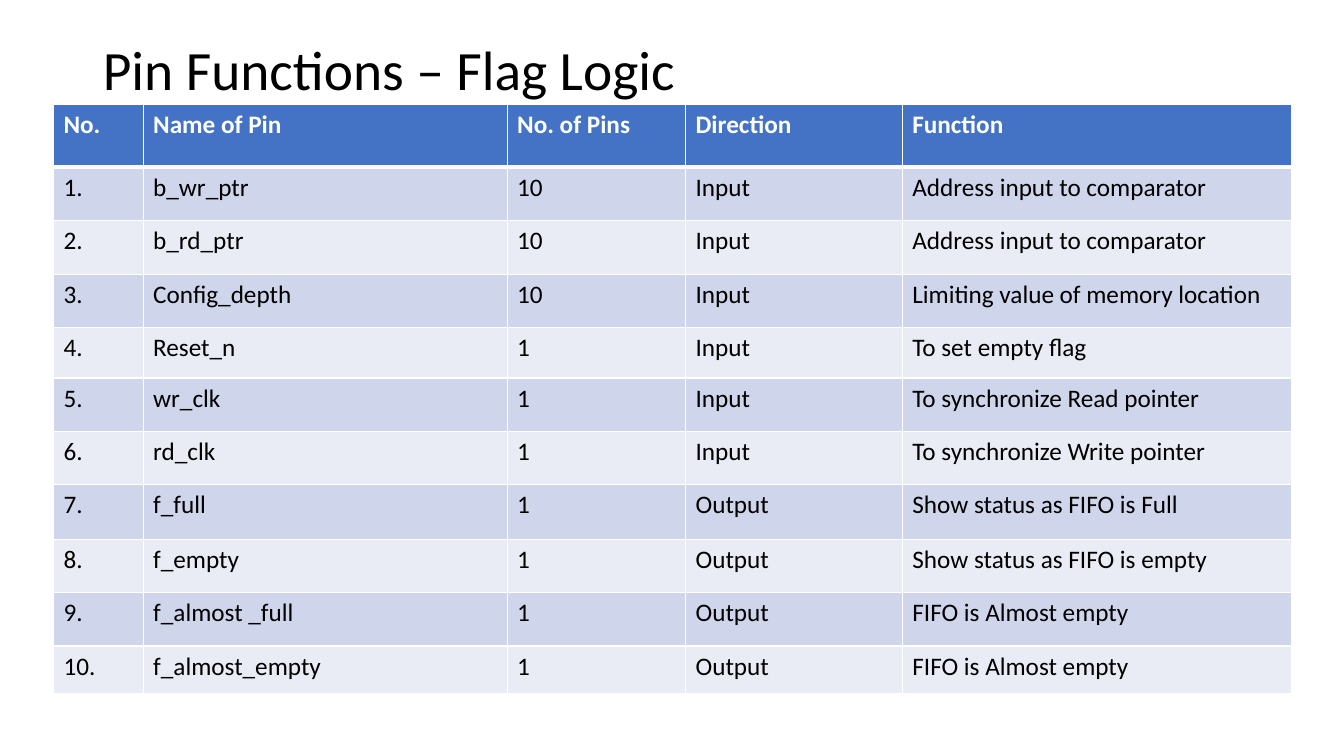
"""Build the flag logic pin functions slide."""
from dataclasses import astuple, dataclass

from lxml.etree import SubElement
from pptx import Presentation
from pptx.dml.color import RGBColor
from pptx.enum.text import MSO_ANCHOR, MSO_AUTO_SIZE, PP_ALIGN
from pptx.oxml.ns import qn
from pptx.slide import Slide
from pptx.table import _Cell
from pptx.text.text import _Paragraph
from pptx.util import Inches, Pt

BLACK = RGBColor(0x00, 0x00, 0x00)
WHITE = RGBColor(0xFF, 0xFF, 0xFF)
HEADER_BLUE = RGBColor(0x44, 0x72, 0xC4)
BANDS = (RGBColor(0xCF, 0xD5, 0xEA), RGBColor(0xE9, 0xEB, 0xF5))

TITLE_FORMAT = {"name": "Calibri", "size": Pt(39.6), "bold": False}
TITLE_FORMAT["color"] = BLACK
BODY_FORMAT = TITLE_FORMAT | {"size": Pt(18)}
HEADER_FORMAT = BODY_FORMAT | {"bold": True, "color": WHITE}

HEADERS = ("No.", "Name of Pin", "No. of Pins", "Direction", "Function")
COLUMN_WIDTHS = (0.89, 3.61, 1.77, 2.15, 3.86)
ROW_HEIGHTS = (0.62, 0.53, 0.53, 0.53, 0.5, 0.53, 0.53, 0.54, 0.53, 0.53, 0.47)


@dataclass(frozen=True)
class Pin:
    name: str
    count: int
    direction: str
    function: str


PINS = (
    Pin("b_wr_ptr", 10, "Input", "Address input to comparator"),
    Pin("b_rd_ptr", 10, "Input", "Address input to comparator"),
    Pin("Config_depth", 10, "Input", "Limiting value of memory location"),
    Pin("Reset_n", 1, "Input", "To set empty flag"),
    Pin("wr_clk", 1, "Input", "To synchronize Read pointer"),
    Pin("rd_clk", 1, "Input", "To synchronize Write pointer"),
    Pin("f_full", 1, "Output", "Show status as FIFO is Full"),
    Pin("f_empty", 1, "Output", "Show status as FIFO is empty"),
    Pin("f_almost _full", 1, "Output", "FIFO is Almost empty"),
    Pin("f_almost_empty", 1, "Output", "FIFO is Almost empty"),
)


def write_text(paragraph: _Paragraph, text: str, formats: dict) -> None:
    run = paragraph.add_run()
    run.text = text
    for attribute, value in formats.items():
        if attribute == "color":
            run.font.color.rgb = value
        else:
            setattr(run.font, attribute, value)


def add_borders(cell: _Cell, widths: dict[str, int]) -> None:
    properties = cell._tc.get_or_add_tcPr()
    for side, width in widths.items():
        line = SubElement(properties, qn(f"a:ln{side}"), w=str(Pt(width)))
        fill = SubElement(line, qn("a:solidFill"))
        SubElement(fill, qn("a:srgbClr"), val=str(WHITE))


def add_title(slide: Slide) -> None:
    title = slide.shapes.title
    title.left, title.top = Inches(0.92), Inches(0.4)
    title.width, title.height = Inches(11.5), Inches(0.64)
    frame = title.text_frame
    settings = {"word_wrap": True, "auto_size": MSO_AUTO_SIZE.NONE,
                "vertical_anchor": MSO_ANCHOR.MIDDLE}
    for attribute, value in settings.items():
        setattr(frame, attribute, value)
    paragraph = frame.paragraphs[0]
    paragraph.alignment = PP_ALIGN.LEFT
    paragraph.line_spacing = 0.9
    write_text(paragraph, "Pin Functions – Flag Logic", TITLE_FORMAT)


def add_pin_table(slide: Slide) -> None:
    rows = [HEADERS]
    rows += [(f"{number}.", *astuple(pin)) for number, pin in enumerate(PINS, 1)]
    table = slide.shapes.add_table(
        len(rows), len(HEADERS), Inches(0.53), Inches(1.04),
        Inches(sum(COLUMN_WIDTHS)), Inches(sum(ROW_HEIGHTS))).table
    for column, width in zip(table.columns, COLUMN_WIDTHS):
        column.width = Inches(width)
    for row, height in zip(table.rows, ROW_HEIGHTS):
        row.height = Inches(height)
    for row_index, values in enumerate(rows):
        is_header = row_index == 0
        borders = {"L": 1, "R": 1, "T": 3 if row_index == 1 else 1,
                   "B": 3 if is_header else 1}
        for column_index, value in enumerate(values):
            cell = table.cell(row_index, column_index)
            add_borders(cell, borders)
            cell.fill.solid()
            cell.fill.fore_color.rgb = (
                HEADER_BLUE if is_header else BANDS[(row_index - 1) % 2])
            write_text(cell.text_frame.paragraphs[0], str(value),
                       HEADER_FORMAT if is_header else BODY_FORMAT)


def main() -> None:
    presentation = Presentation()
    presentation.slide_width = Inches(13.33)
    presentation.slide_height = Inches(7.5)
    slide = presentation.slides.add_slide(presentation.slide_layouts[5])
    add_title(slide)
    add_pin_table(slide)
    presentation.save("out.pptx")


if __name__ == "__main__":
    main()
